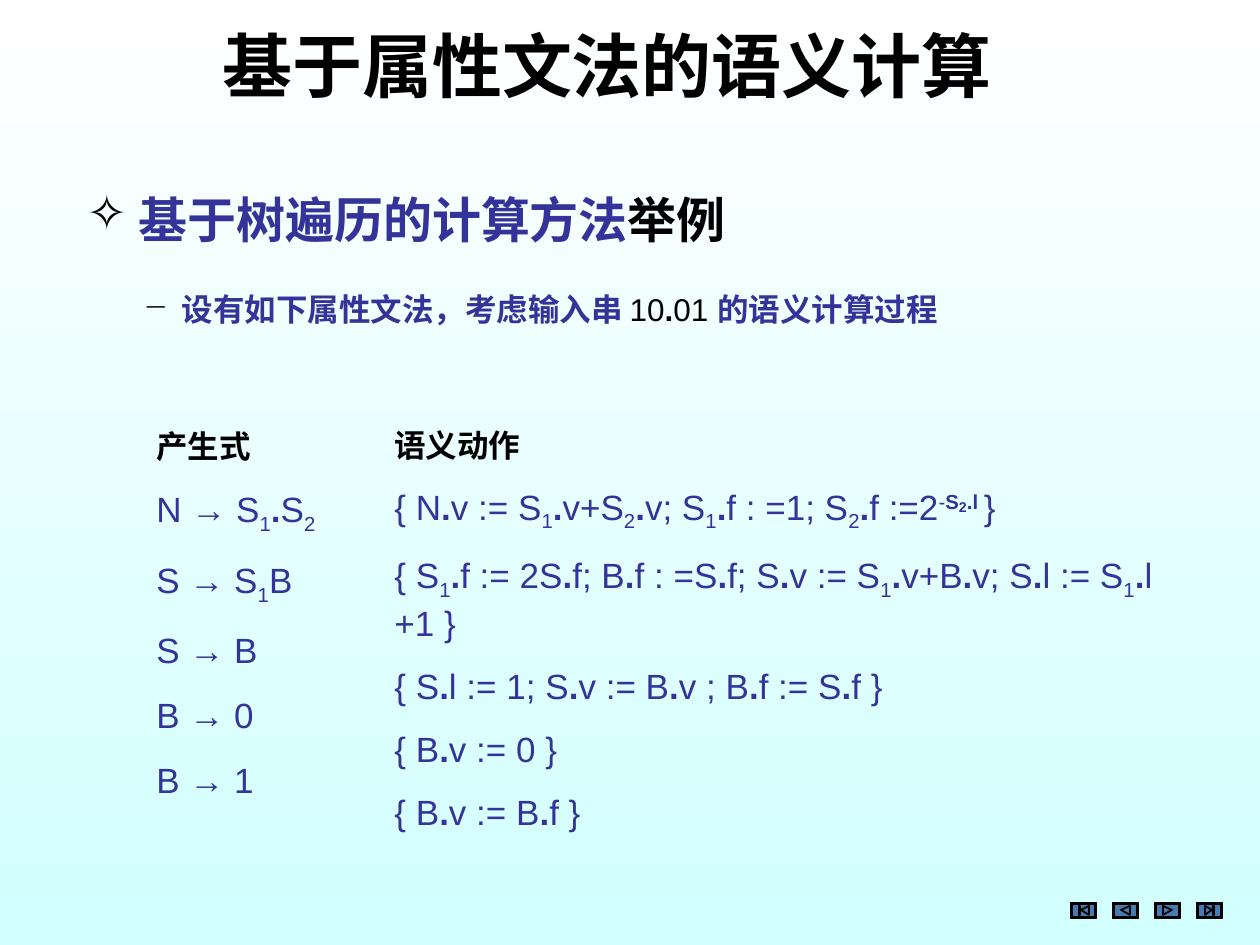
from copy import deepcopy

from pptx import Presentation
from pptx.dml.color import RGBColor
from pptx.enum.text import MSO_AUTO_SIZE as AutoSize
from pptx.oxml.ns import qn
from pptx.oxml.xmlchemy import OxmlElement as make_element
from pptx.util import Emu, Pt

BLACK = RGBColor(0x00, 0x00, 0x00)
INDIGO = RGBColor(0x33, 0x33, 0x99)
STEEL = RGBColor(0x47, 0x7A, 0xB1)
WHITE = RGBColor(0xFF, 0xFF, 0xFF)
PALE_CYAN = RGBColor(0xD2, 0xFF, 0xFF)
CJK, SERIF, SANS = "Noto Sans CJK SC", "Times New Roman", "Arial"
PX = 914400 / 126

# Content: a run is (text, format)
TITLE = [("基于属性文法的语义计算", {"size": 40})]
TOPIC = [
    (" ", {"size": 28, "name": CJK}),
    ("基于", {"size": 28, "name": CJK, "color": INDIGO}),
    ("树遍历的计算方法", {"size": 28, "name": SERIF, "color": INDIGO}),
    ("举例", {"size": 28, "name": CJK}),
]
TASK = [
    (" ", {"name": CJK}),
    ("设有如下属性文法，考虑输入串 ", {"name": SERIF, "color": INDIGO}),
    ("10", {"bold": False}),
    (".", {}),
    ("01 ", {"bold": False}),
    ("的语义计算过程", {"name": SERIF, "color": INDIGO}),
]
# In formulas "_" lowers and "^" raises the next character; dots are bold
RAISED = {"size": 20, "color": INDIGO, "baseline": 30}
COLUMNS = [
    ((144, 421, 238, 383), 13, "产生式", [
        ["N → S_1.S_2"], ["S → S_1B"], ["S → B"], ["B → 0"], ["B → 1"],
    ]),
    ((382, 420, 853, 411), 12, "语义动作", [
        ["{ N.v := S_1.v+S_2.v; S_1.f : =1; S_2.f :=2^-",
         ("S", RAISED), ("2", {**RAISED, "size": 14}), (".l ", RAISED), "}"],
        ["{ S_1.f := 2S.f; B.f : =S.f; S.v := S_1.v+B.v; S.l := S_1.l +1 }"],
        ["{ S.l := 1; S.v := B.v ; B.f := S.f }"],
        ["{ B.v := 0 }"],
        ["{ B.v := B.f }"],
    ]),
]
# Navigation buttons: icon outlines relative to the button's corner
BUTTON_LEFT, BUTTON_TOP, BUTTON_PITCH = 1071, 903, 42
BUTTON_WIDTH, BUTTON_HEIGHT = 25, 15
ICONS = [
    [[(10, 7), (18, 3), (18, 12)], [(8, 3), (9, 3), (9, 12), (8, 12)]],
    [[(8, 7), (17, 3), (17, 12)]],
    [[(8, 3), (17, 7), (8, 12)]],
    [[(15, 7), (8, 12), (8, 3)], [(16, 3), (16, 12), (17, 12), (17, 3)]],
]


def px(value):
    return Emu(round(value * PX))


def add_run(paragraph, text, size=18, name=SANS, color=BLACK, bold=True, baseline=0):
    run = paragraph.add_run()
    run.text = text
    run.font.size, run.font.name, run.font.bold = Pt(size), name, bold
    run.font.color.rgb = color
    properties = run._r.get_or_add_rPr()
    if baseline:
        properties.set("baseline", str(baseline * 1000))
    east_asian = make_element("a:ea")
    east_asian.set("typeface", CJK)
    properties.find(qn("a:latin")).addnext(east_asian)


def formula_runs(source):
    """Group the characters of a marked-up formula into formatted runs."""
    groups, baseline = [], 0
    for character in source:
        if character in "_^":
            baseline = -25 if character == "_" else 30
            continue
        style = {"size": 20, "color": INDIGO, "bold": character == ".", "baseline": baseline}
        if groups and groups[-1][1] == style:
            groups[-1] = (groups[-1][0] + character, style)
        else:
            groups.append((character, style))
        baseline = 0
    return groups


def add_text(slide, box, paragraphs, gap=0, line_spacing=None, bullet=None, hang=0):
    shape = slide.shapes.add_textbox(*map(px, box))
    frame = shape.text_frame
    frame.word_wrap = True
    frame.auto_size = AutoSize.SHAPE_TO_FIT_TEXT
    for index, runs in enumerate(paragraphs):
        paragraph = frame.add_paragraph() if index else frame.paragraphs[0]
        if index:
            paragraph.space_before = Pt(gap)
        if line_spacing:
            paragraph.line_spacing = line_spacing
        if bullet:
            add_bullet(paragraph, bullet, hang)
        for text, style in runs:
            add_run(paragraph, text, **style)


def add_bullet(paragraph, character, hang):
    properties = paragraph._p.get_or_add_pPr()
    properties.set("marL", str(px(hang)))
    properties.set("indent", str(-px(hang)))
    bullet_color, black = make_element("a:buClr"), make_element("a:srgbClr")
    black.set("val", str(BLACK))
    bullet_color.append(black)
    mark = make_element("a:buChar")
    mark.set("char", character)
    properties.extend([bullet_color, mark])


def add_button(slide, left, icon):
    width, height = BUTTON_WIDTH, BUTTON_HEIGHT
    outer = [(0, 0), (width, 0), (width, height), (0, height)]
    inner = [(1, 1), (width - 1, 1), (width - 1, height - 1), (1, height - 1)]
    bevels = [[outer[i], outer[(i + 1) % 4], inner[(i + 1) % 4], inner[i]] for i in range(4)]
    builder = None
    for contour in [outer, *bevels, *icon]:
        points = [(px(left + x), px(BUTTON_TOP + y)) for x, y in contour]
        if builder is None:
            builder = slide.shapes.build_freeform(*points[0])
        else:
            builder.move_to(*points[0])
        builder.add_line_segments(points[1:], close=True)
    shape = builder.convert_to_shape()
    shape.shadow.inherit = False
    shape.fill.solid()
    shape.fill.fore_color.rgb = STEEL
    shape.line.color.rgb = BLACK
    shape.line.width = Pt(1)
    separate_contours(shape)


def separate_contours(shape):
    """Give each contour its own outline, so that overlaps stay filled."""
    whole = next(shape._element.iter(qn("a:path")))
    steps = list(whole)
    for step in steps:
        whole.remove(step)
    outlines = whole.getparent()
    empty = deepcopy(whole)
    outlines.remove(whole)
    for step in steps:
        if step.tag == qn("a:moveTo"):
            current = deepcopy(empty)
            outlines.append(current)
        current.append(step)


def main():
    presentation = Presentation()
    presentation.slide_width, presentation.slide_height = px(1260), px(945)
    slide = presentation.slides.add_slide(presentation.slide_layouts[6])

    # Background
    fill = slide.background.fill
    fill.gradient()
    fill.gradient_angle = 270
    for stop, color in zip(fill.gradient_stops, (WHITE, PALE_CYAN)):
        stop.color.rgb = color

    # Topic and task
    add_text(slide, (74, 183, 1113, 72), [TOPIC], bullet="✧", hang=41)
    add_text(slide, (131, 284, 1086, 50), [TASK], bullet="−", hang=31)

    # Navigation buttons
    for index, icon in enumerate(ICONS):
        add_button(slide, BUTTON_LEFT + index * BUTTON_PITCH, icon)

    # Productions and semantic actions
    for box, gap, heading, formulas in COLUMNS:
        rows = [[(heading, {})]]
        for parts in formulas:
            rows.append([run for part in parts
                         for run in (formula_runs(part) if isinstance(part, str) else [part])])
        add_text(slide, box, rows, gap=gap)

    # Title
    add_text(slide, (210, 26, 805, 88), [TITLE], line_spacing=0.9)
    presentation.save("out.pptx")


if __name__ == "__main__":
    main()
